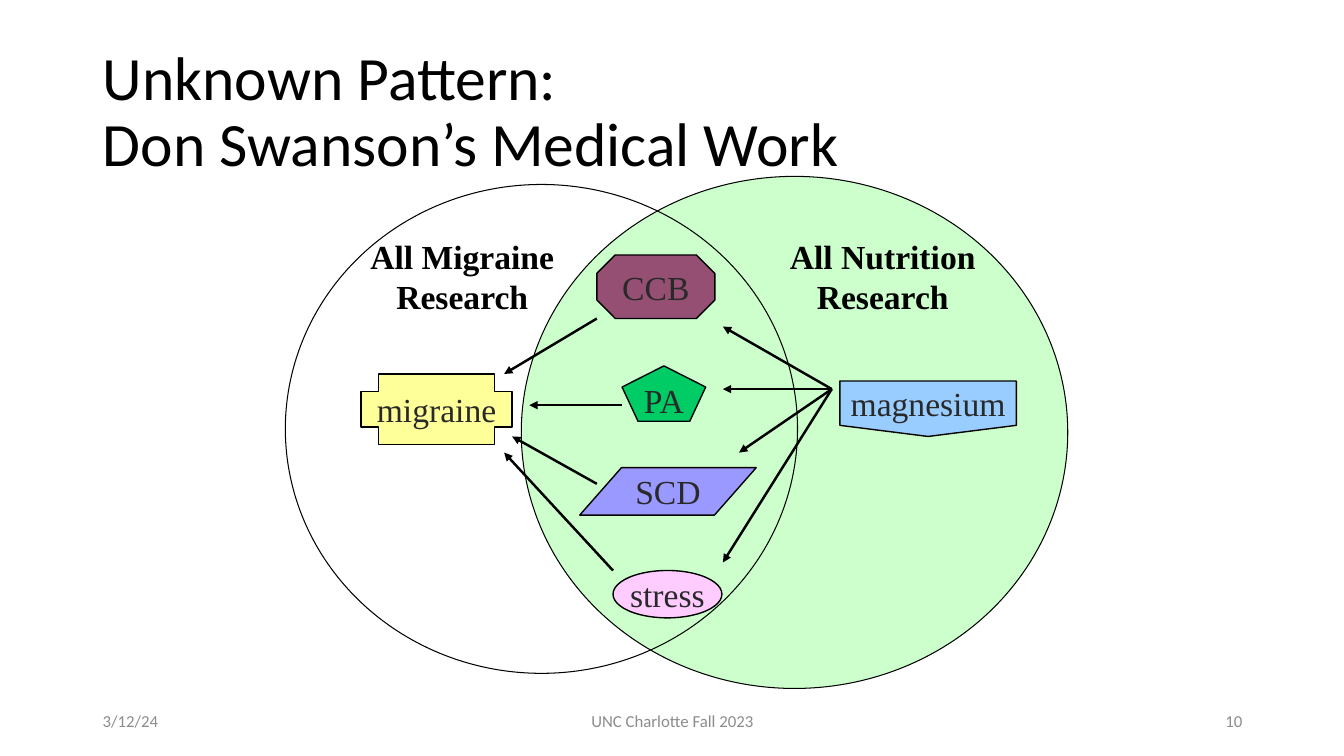
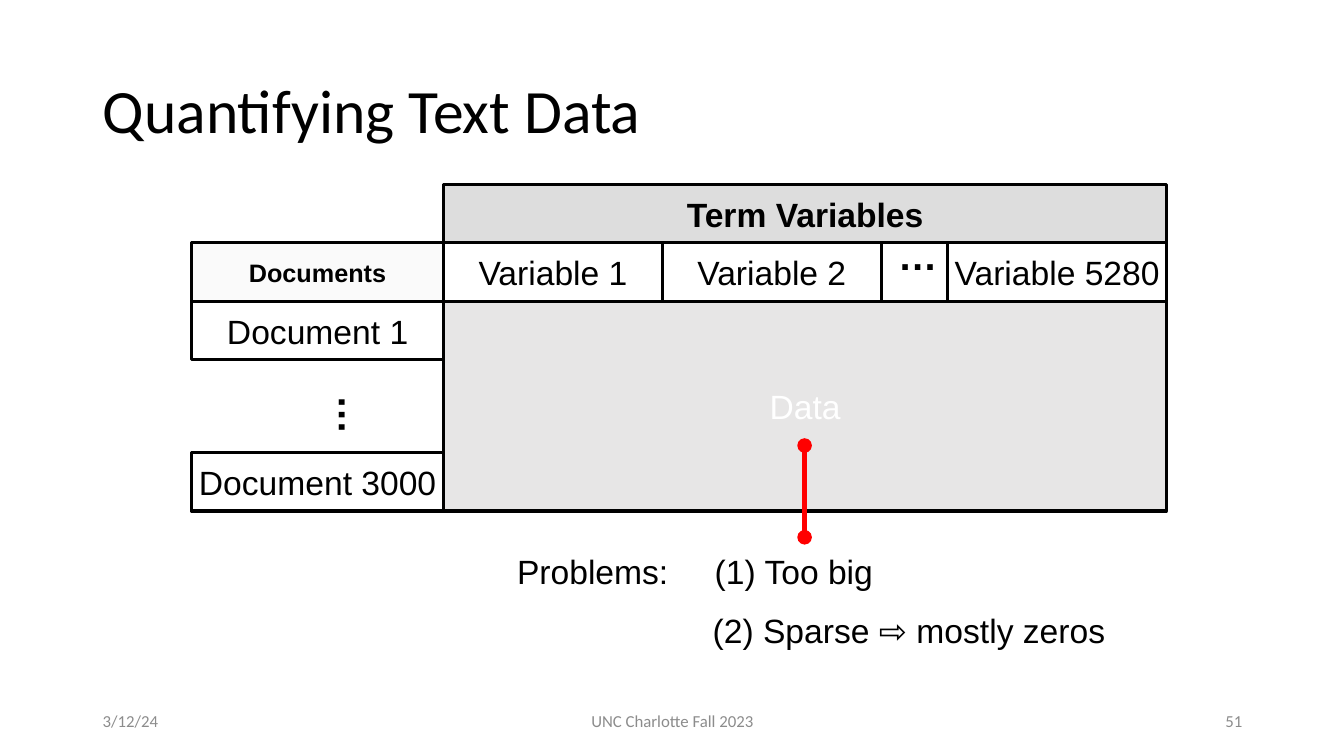
from dataclasses import dataclass

from lxml.etree import SubElement
from pptx import Presentation
from pptx.dml.color import RGBColor
from pptx.enum.shapes import MSO_CONNECTOR as CONN, MSO_SHAPE as SHAPE
from pptx.enum.text import MSO_ANCHOR as ANCHOR, MSO_AUTO_SIZE as AUTO, PP_ALIGN as ALIGN
from pptx.oxml.ns import qn
from pptx.util import Inches, Pt


@dataclass(frozen=True)
class Theme:
    # Fonts
    head: str = "Calibri"
    serif: str = "Times New Roman"
    sans: str = "Arial"
    # Type sizes
    title: int = 44
    dots: int = 28
    body: int = 24
    small: int = 18
    footer: int = 12
    # Colours
    black: str = "000000"
    white: str = "FFFFFF"
    ink: str = "292929"
    muted: str = "8C8C8C"
    red: str = "FF0000"
    mint: str = "CCFFCC"
    yellow: str = "FFFF99"
    blue: str = "99CCFF"
    pink: str = "FFCCFF"
    plum: str = "954F72"
    green: str = "00CC66"
    violet: str = "9999FF"
    header: str = "DDDDDD"
    corner: str = "FAFAFA"
    data: str = "E7E6E6"


T = Theme()


class Deck:
    def __init__(self):
        self.prs = Presentation()
        self.prs.slide_width, self.prs.slide_height = Inches(13.33), Inches(7.5)
        self.s = None

    def slide(self, title, number):
        """Start a slide with its title and footer."""
        self.s = self.prs.slides.add_slide(self.prs.slide_layouts[5])
        sp = self.s.shapes.title
        sp.left, sp.top, sp.width, sp.height = map(Inches, (0.92, 0.4, 11.5, 1.45))
        self.label(sp, title, T.head, T.title, align=ALIGN.LEFT, wrap=True)
        for p in sp.text_frame.paragraphs:
            p.line_spacing = 0.9
        footer = [("3/12/24", 0.92, 3, ALIGN.LEFT),
                  ("UNC Charlotte Fall 2023", 4.42, 4.5, ALIGN.CENTER),
                  (number, 9.42, 3, ALIGN.RIGHT)]
        for text, x, w, align in footer:
            self.text(text, (x, 6.95, w, 0.4), T.head, T.footer, T.muted,
                      align=align, anchor=ANCHOR.MIDDLE, wrap=True)

    def label(self, sp, text, font, size, color=T.black, bold=False,
              align=ALIGN.CENTER, anchor=ANCHOR.MIDDLE, wrap=False):
        tf = sp.text_frame
        tf.text = text
        tf.auto_size, tf.word_wrap, tf.vertical_anchor = AUTO.NONE, wrap, anchor
        for p in tf.paragraphs:
            p.alignment = align
            for r in p.runs:
                r.font.name, r.font.size, r.font.bold = font, Pt(size), bold
                r.font.color.rgb = RGBColor.from_string(color)

    def text(self, text, box, font, size, color=T.black, bold=False,
             align=ALIGN.LEFT, anchor=ANCHOR.TOP, wrap=False):
        sp = self.s.shapes.add_textbox(*map(Inches, box))
        self.label(sp, text, font, size, color, bold, align, anchor, wrap)
        return sp

    def shape(self, kind, box, fill=None, line=None, adj=None):
        sp = self.s.shapes.add_shape(kind, *map(Inches, box))
        sp.shadow.inherit = False
        if adj is not None:
            sp.adjustments[0] = adj
        if fill:
            sp.fill.solid()
            sp.fill.fore_color.rgb = RGBColor.from_string(fill)
        else:
            sp.fill.background()
        if line:
            sp.line.color.rgb = RGBColor.from_string(T.black)
            sp.line.width = Pt(line)
        else:
            sp.line.fill.background()
        return sp

    def node(self, text, kind, box, fill, adj=None):
        self.label(self.shape(kind, box, fill, 1, adj), text, T.serif, T.body, T.ink)

    def cell(self, text, box, fill=T.white, size=T.body, color=T.black, bold=False):
        sp = self.shape(SHAPE.RECTANGLE, box, fill, 2.25)
        self.label(sp, text, T.sans, size, color, bold)

    def line(self, start, end, color=T.black, width=1.75, head=None, tail="triangle"):
        ends = map(Inches, (*start, *end))
        cx = self.s.shapes.add_connector(CONN.STRAIGHT, *ends)
        cx.line.color.rgb = RGBColor.from_string(color)
        cx.line.width = Pt(width)
        sp_pr = cx._element.spPr
        ln = sp_pr.find(qn("a:ln"))
        for tag, kind in (("a:headEnd", head), ("a:tailEnd", tail)):
            if kind:
                SubElement(ln, qn(tag), type=kind)
        SubElement(sp_pr, qn("a:effectLst"))


def swanson_slide(d):
    d.slide("Unknown Pattern: \vDon Swanson’s Medical Work", "10")

    # Overlapping research fields
    d.shape(SHAPE.OVAL, (5.17, 1.75, 5.42, 5.08), T.mint, 0.75)
    d.shape(SHAPE.OVAL, (2.83, 1.83, 5.08, 4.85), None, 0.75)

    # Concepts
    d.node("migraine", SHAPE.CROSS, (3.58, 3.71, 1.5, 0.7), T.yellow, 0.25)
    d.node("magnesium", SHAPE.FLOWCHART_OFFPAGE_CONNECTOR, (8.33, 3.78, 1.75, 0.55), T.blue)
    d.node("stress", SHAPE.OVAL, (6.08, 5.66, 1.08, 0.47), T.pink)
    d.node("CCB", SHAPE.OCTAGON, (5.92, 2.53, 1.17, 0.63), T.plum, 0.29)
    d.node("PA", SHAPE.REGULAR_PENTAGON, (6.17, 3.63, 0.83, 0.55), T.green)
    d.node("SCD", SHAPE.PARALLELOGRAM, (5.75, 4.64, 1.75, 0.47), T.violet, 0.88)

    # Links to migraine, then from magnesium
    for start, end in [((5.92, 3.16), (5, 3.71)), ((6.17, 4.02), (5.25, 4.02)),
                       ((5.92, 4.8), (5.08, 4.33)), ((6.08, 5.66), (5, 4.49))]:
        d.line(start, end)
    for end in [(7.17, 3.24), (7.17, 3.86), (7.33, 4.49), (7.17, 5.58)]:
        d.line((8.25, 3.86), end)

    # Field labels
    for field, x in (("Nutrition", 7.67), ("Migraine", 3.5)):
        sp = d.shape(SHAPE.FLOWCHART_OFFPAGE_CONNECTOR, (x, 2.3, 2.17, 1.09))
        d.label(sp, f"All {field}\vResearch", T.serif, T.body, bold=True)


def quantifying_slide(d):
    d.slide("Quantifying Text Data", "51")
    left, doc_w, var_w, data_w = 1.9, 2.5, 2.17, 7.17
    top, row_h, data_h = 1.83, 0.58, 2.08
    data_x, head_y, data_y = left + doc_w, top + row_h, top + 2 * row_h
    right, bottom = data_x + data_w, data_y + data_h

    # Document column
    d.cell("Documents", (left, head_y, doc_w, row_h), T.corner, T.small, bold=True)
    for text, y in (("Document 1", data_y), ("Document 3000", bottom - row_h)):
        d.cell(text, (left, y, doc_w, row_h))

    # Variable columns
    d.cell("Term Variables", (data_x, top, data_w, row_h), T.header, bold=True)
    for text, x in (("Variable 1", data_x), ("Variable 2", data_x + var_w),
                    ("Variable 5280", right - var_w)):
        d.cell(text, (x, head_y, var_w, row_h))

    # Data block and ellipses
    d.cell("Data", (data_x, data_y, data_w, data_h), T.data, color=T.white)
    for x, y, turn in ((3.22, 3.84, 90), (8.81, 2.25, 0)):
        d.text("…", (x, y, 0.59, 0.57), T.sans, T.dots, bold=True).rotation = turn

    # Problems
    for text, x, y, w in (("Problems:", 5.03, 5.42, 1.7),
                          ("(1) Too big", 6.99, 5.42, 1.81),
                          ("(2) Sparse ⇨ mostly zeros", 6.97, 6, 4.15)):
        d.text(text, (x, y, w, 0.5), T.sans, T.body)
    d.line((7.98, 5.33), (7.98, 4.42), T.red, 3.5, "oval", "oval")


def main():
    d = Deck()
    swanson_slide(d)
    quantifying_slide(d)
    d.prs.save("out.pptx")


if __name__ == "__main__":
    main()
